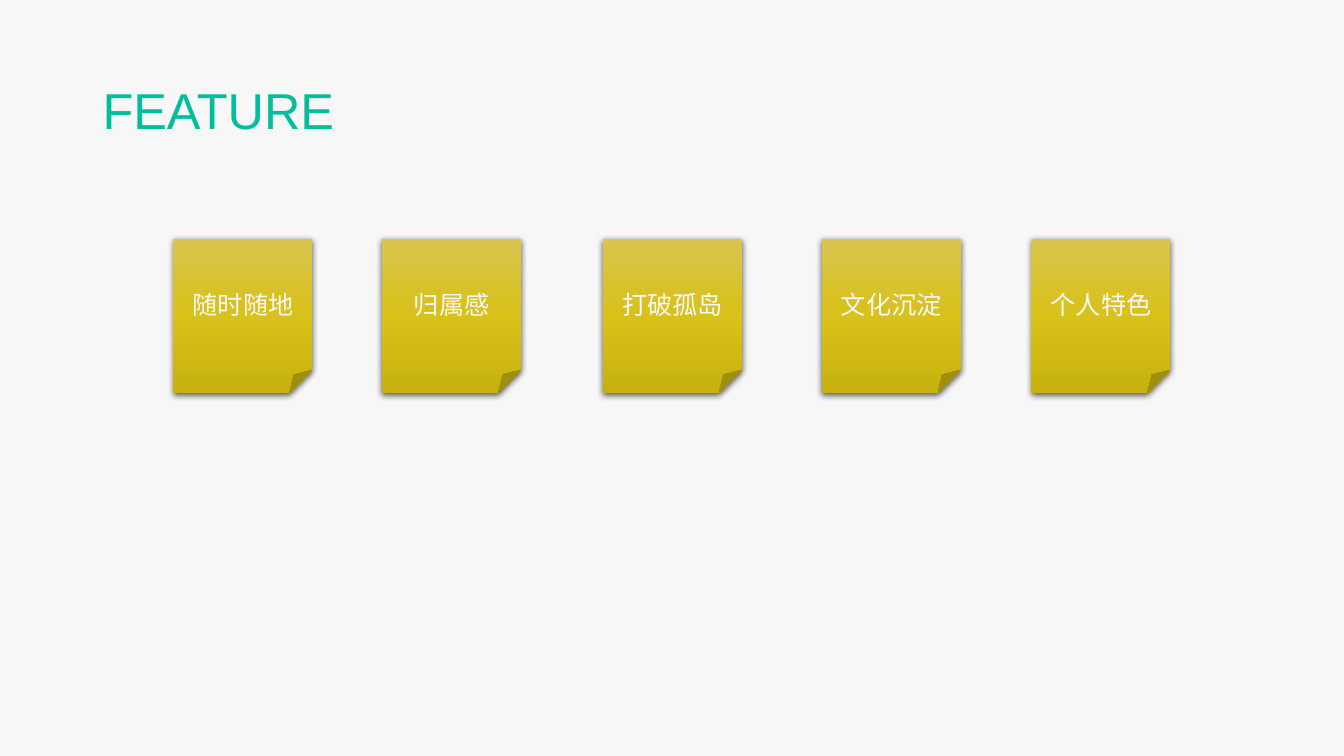
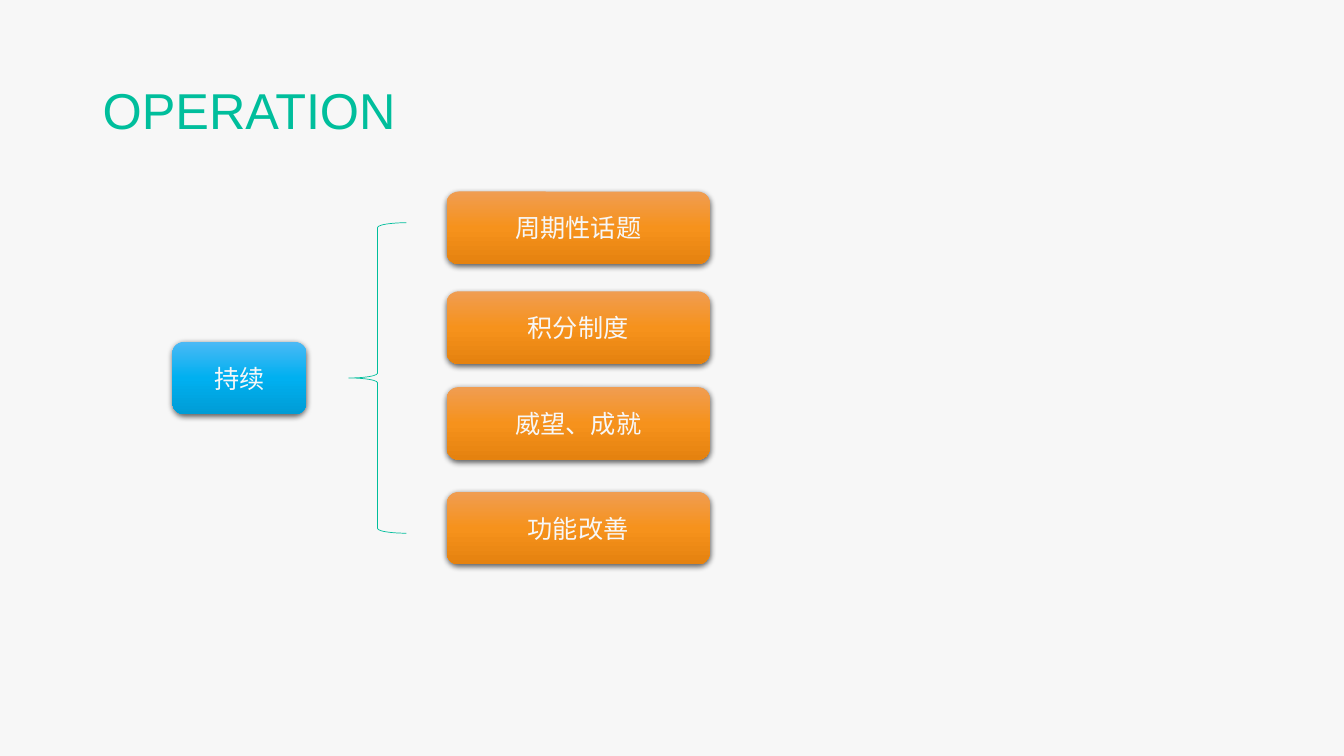
from lxml import etree
from pptx import Presentation
from pptx import util as u
from pptx.dml.color import RGBColor
from pptx.enum import shapes, text
from pptx.oxml import ns

# Shared look
FONT = "Arial"
PAPER = RGBColor(0xF7, 0xF7, 0xF7)
GREEN = RGBColor(0x00, 0xBE, 0x9C)
BLACK = RGBColor(0x00, 0x00, 0x00)

# Gradients: top, middle, bottom
GOLD = (RGBColor(0xD9, 0xC4, 0x4F), RGBColor(0xD8, 0xC1, 0x18),
        RGBColor(0xC7, 0xB1, 0x0E))
BLUE = (RGBColor(0x4B, 0xB9, 0xF5), RGBColor(0x00, 0xB0, 0xF0),
        RGBColor(0x00, 0x9C, 0xD5))
ORANGE = (RGBColor(0xF0, 0x9D, 0x52), RGBColor(0xF6, 0x92, 0x1C),
          RGBColor(0xE5, 0x82, 0x0F))

KIND = shapes.MSO_SHAPE

# Slide content: places in inches
NOTES = [(1.72, "随时随地"), (3.79, "归属感"), (5.98, "打破孤岛"),
         (8.15, "文化沉淀"), (10.23, "个人特色")]
STEPS = [(1.9, "周期性话题"), (2.89, "积分制度"),
         (3.84, "威望、成就"), (4.88, "功能改善")]


def add_tag(parent, tag, **attrs):
    node = etree.SubElement(parent, ns.qn(tag))
    for key, value in attrs.items():
        node.set(key, str(value))
    return node


def add_run(para, words, size, color):
    run = para.add_run()
    run.text = words
    run.font.name = FONT
    run.font.size = u.Pt(size)
    run.font.color.rgb = color


def add_title(slide, words):
    box = slide.shapes.add_textbox(
        u.Inches(0.92), u.Inches(0.4), u.Inches(11.5), u.Inches(1.45))
    frame = box.text_frame
    frame.word_wrap = True
    frame.vertical_anchor = text.MSO_ANCHOR.MIDDLE
    para = frame.paragraphs[0]
    para.line_spacing = 0.9
    add_run(para, words, 36, GREEN)


def add_form(slide, kind, left, top, width, height):
    form = slide.shapes.add_shape(
        kind, u.Inches(left), u.Inches(top), u.Inches(width), u.Inches(height))
    form.shadow.inherit = False
    return form


def set_fade(form, colors):
    """Fill from top to bottom with evenly spaced colours."""
    form.fill.gradient()
    form.fill.gradient_angle = 270
    stops = form._element.spPr.find(".//" + ns.qn("a:gsLst"))
    for stop in list(stops):
        stops.remove(stop)
    for i, color in enumerate(colors):
        stop = add_tag(stops, "a:gs", pos=i * 100000 // (len(colors) - 1))
        add_tag(stop, "a:srgbClr", val=color)


def set_shade(form):
    """Drop a soft shadow straight down."""
    effects = form._element.spPr.find(ns.qn("a:effectLst"))
    shade = add_tag(effects, "a:outerShdw", blurRad=u.Pt(4.5), dist=u.Pt(1.5),
                    dir=90 * 60000, algn="ctr", rotWithShape=0)
    color = add_tag(shade, "a:srgbClr", val=BLACK)
    add_tag(color, "a:alpha", val=63000)


def add_card(slide, kind, place, colors, words):
    card = add_form(slide, kind, *place)
    set_fade(card, colors)
    card.line.fill.background()
    set_shade(card)
    frame = card.text_frame
    frame.word_wrap = True
    frame.vertical_anchor = text.MSO_ANCHOR.MIDDLE
    para = frame.paragraphs[0]
    para.alignment = text.PP_ALIGN.CENTER
    add_run(para, words, 18, PAPER)


def add_brace(slide, *place):
    brace = add_form(slide, KIND.LEFT_BRACE, *place)
    brace.fill.background()
    brace.line.color.rgb = GREEN
    brace.line.width = u.Pt(0.5)


def add_slide(deck, title):
    slide = deck.slides.add_slide(deck.slide_layouts[6])
    add_title(slide, title)
    return slide


def main():
    deck = Presentation()
    deck.slide_width = u.Inches(13.33)
    deck.slide_height = u.Inches(7.5)
    back = deck.slide_master.background.fill
    back.solid()
    back.fore_color.rgb = PAPER

    # Row of sticky notes
    slide = add_slide(deck, "FEATURE")
    for left, words in NOTES:
        add_card(slide, KIND.FOLDED_CORNER, (left, 2.37, 1.38, 1.53),
                 GOLD, words)

    # One goal, braced to its steps
    slide = add_slide(deck, "OPERATION")
    add_card(slide, KIND.ROUNDED_RECTANGLE, (1.71, 3.39, 1.33, 0.72),
             BLUE, "持续")
    add_brace(slide, 3.46, 2.21, 0.57, 3.08)
    for top, words in STEPS:
        add_card(slide, KIND.ROUNDED_RECTANGLE, (4.43, top, 2.61, 0.72),
                 ORANGE, words)

    deck.save("out.pptx")


if __name__ == "__main__":
    main()
